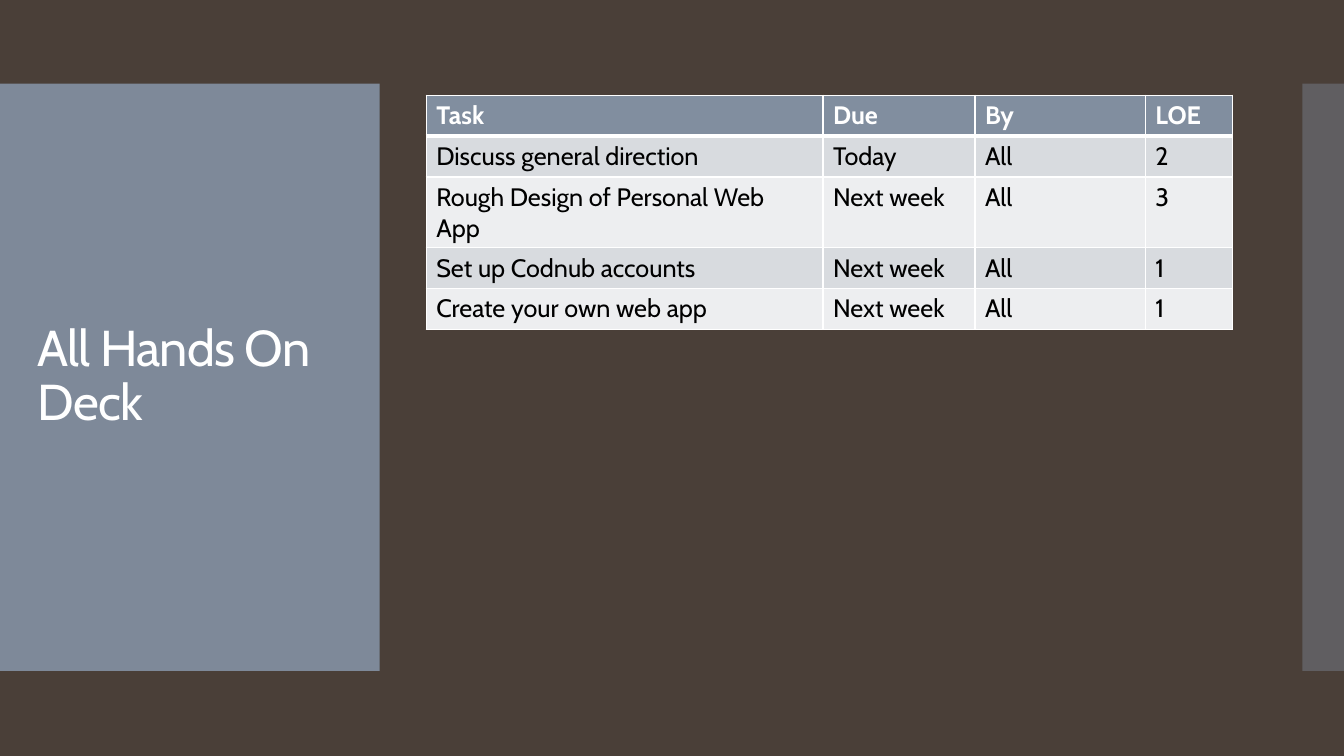
import pptx
import pptx.dml.color
import pptx.enum.shapes
import pptx.enum.text
import pptx.oxml.ns
import pptx.util
import lxml.etree
from dataclasses import dataclass

Cm, Pt = pptx.util.Cm, pptx.util.Pt
qn = pptx.oxml.ns.qn


@dataclass(frozen=True)
class Theme:
    font: str = "Cabin"
    background: str = "4A3F38"
    accent: str = "818E9F"
    bands: tuple = ("D8DBDF", "EDEEF0")
    light: str = "FFFFFF"
    dark: str = "000000"
    title_size: int = 36
    table_size: int = 18
    rule: int = 1
    header_rule: int = 3


def rgb(color):
    return pptx.dml.color.RGBColor.from_string(color)


class SlideBuilder:
    def __init__(self, prs, theme):
        self.theme = theme
        self.slide = prs.slides.add_slide(prs.slide_layouts[6])
        fill = self.slide.background.fill
        fill.solid()
        fill.fore_color.rgb = rgb(theme.background)

    def style(self, p, size, color, bold=False):
        for r in p.runs:
            r.font.name = self.theme.font
            r.font.size = Pt(size)
            r.font.bold = bold
            r.font.color.rgb = rgb(color)

    def panel(self, left, top, width, height, opacity):
        sp = self.slide.shapes.add_shape(
            pptx.enum.shapes.MSO_SHAPE.RECTANGLE,
            Cm(left), Cm(top), Cm(width), Cm(height))
        sp.shadow.inherit = False
        sp.line.fill.background()
        sp.fill.solid()
        sp.fill.fore_color.rgb = rgb(self.theme.accent)
        color = sp.fill._xPr.find(".//" + qn("a:srgbClr"))
        lxml.etree.SubElement(color, qn("a:alpha"), val=str(opacity * 1000))

    def title(self, text, left, top, width, height):
        sp = self.slide.shapes.add_textbox(
            Cm(left), Cm(top), Cm(width), Cm(height))
        tf = sp.text_frame
        tf.word_wrap = True
        tf.vertical_anchor = pptx.enum.text.MSO_ANCHOR.MIDDLE
        tf.text = text
        p = tf.paragraphs[0]
        p.line_spacing = 0.9
        self.style(p, self.theme.title_size, self.theme.light)
        p.runs[0].font._element.set("spc", "-60")

    def border(self, cell, side, width):
        props = cell._tc.get_or_add_tcPr()
        ln = lxml.etree.SubElement(props, qn("a:ln" + side), w=str(Pt(width)))
        fill = lxml.etree.SubElement(ln, qn("a:solidFill"))
        lxml.etree.SubElement(fill, qn("a:srgbClr"), val=self.theme.light)

    def table(self, rows, left, top, widths, row_height):
        th = self.theme
        table = self.slide.shapes.add_table(
            len(rows), len(widths), Cm(left), Cm(top),
            Cm(sum(widths)), Cm(row_height * len(rows))).table
        for column, width in zip(table.columns, widths):
            column.width = Cm(width)
        for i, values in enumerate(rows):
            table.rows[i].height = Cm(row_height)
            header = i == 0
            for j, value in enumerate(values):
                cell = table.cell(i, j)
                cell.text = value
                self.style(cell.text_frame.paragraphs[0], th.table_size,
                           th.light if header else th.dark, header)
                # Borders come before the fill in the cell properties
                for side in "LRTB":
                    under_header = (i, side) in ((0, "B"), (1, "T"))
                    self.border(cell, side,
                                th.header_rule if under_header else th.rule)
                cell.fill.solid()
                cell.fill.fore_color.rgb = rgb(
                    th.accent if header else th.bands[(i - 1) % 2])


TASKS = [
    ("Task", "Due", "By", "LOE"),
    ("Discuss general direction", "Today", "All", "2"),
    ("Rough Design of Personal Web App", "Next week", "All", "3"),
    ("Set up Codnub accounts", "Next week", "All", "1"),
    ("Create your own web app", "Next week", "All", "1"),
]


def main():
    prs = pptx.Presentation()
    prs.slide_width, prs.slide_height = Cm(33.87), Cm(19.05)
    s = SlideBuilder(prs, Theme())

    # Side panels
    panel_top, panel_height = 2.11, 14.8
    s.panel(0, panel_top, 9.57, panel_height, opacity=95)
    s.panel(32.82, panel_top, 1.05, panel_height, opacity=40)

    # Title
    s.title("All Hands On Deck", 0.7, 3.12, 8.18, 12.78)

    # Task table
    s.table(TASKS, 10.74, 2.4, widths=(10, 3.83, 4.29, 2.19), row_height=1.03)

    prs.save("out.pptx")


if __name__ == "__main__":
    main()
